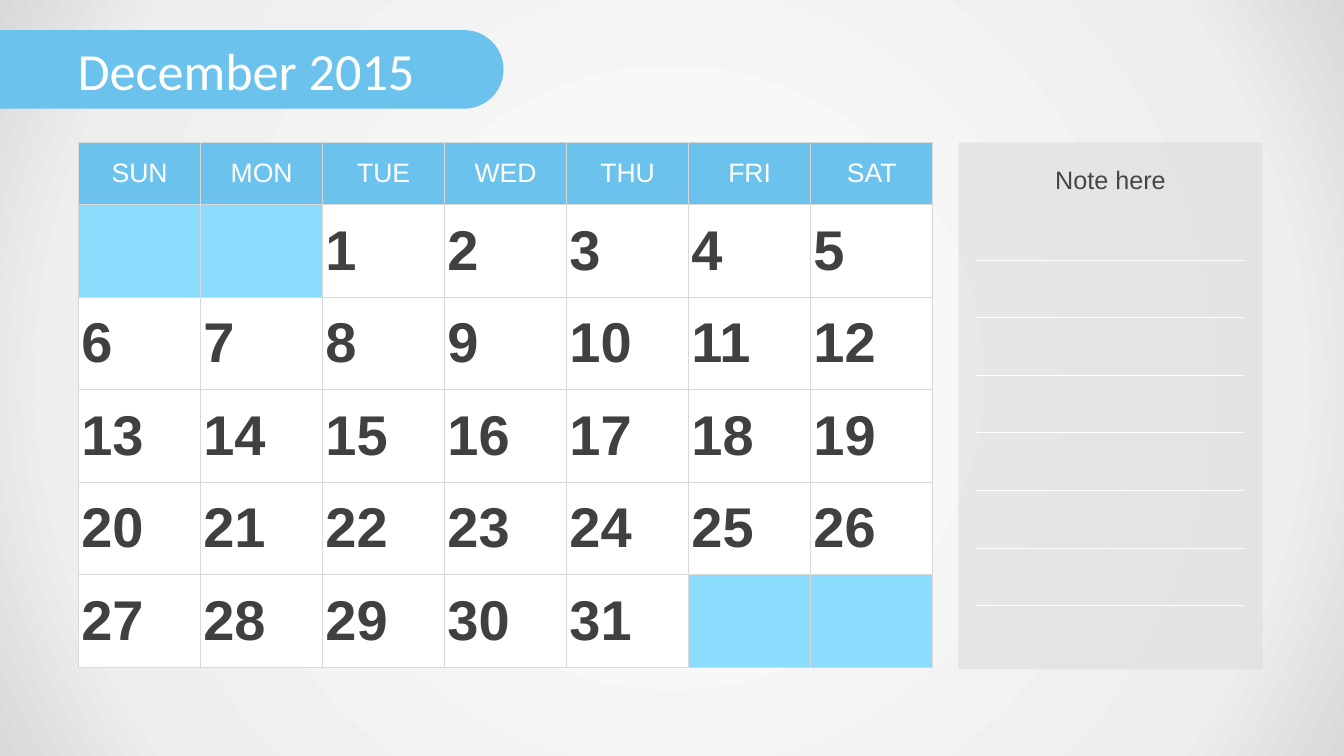
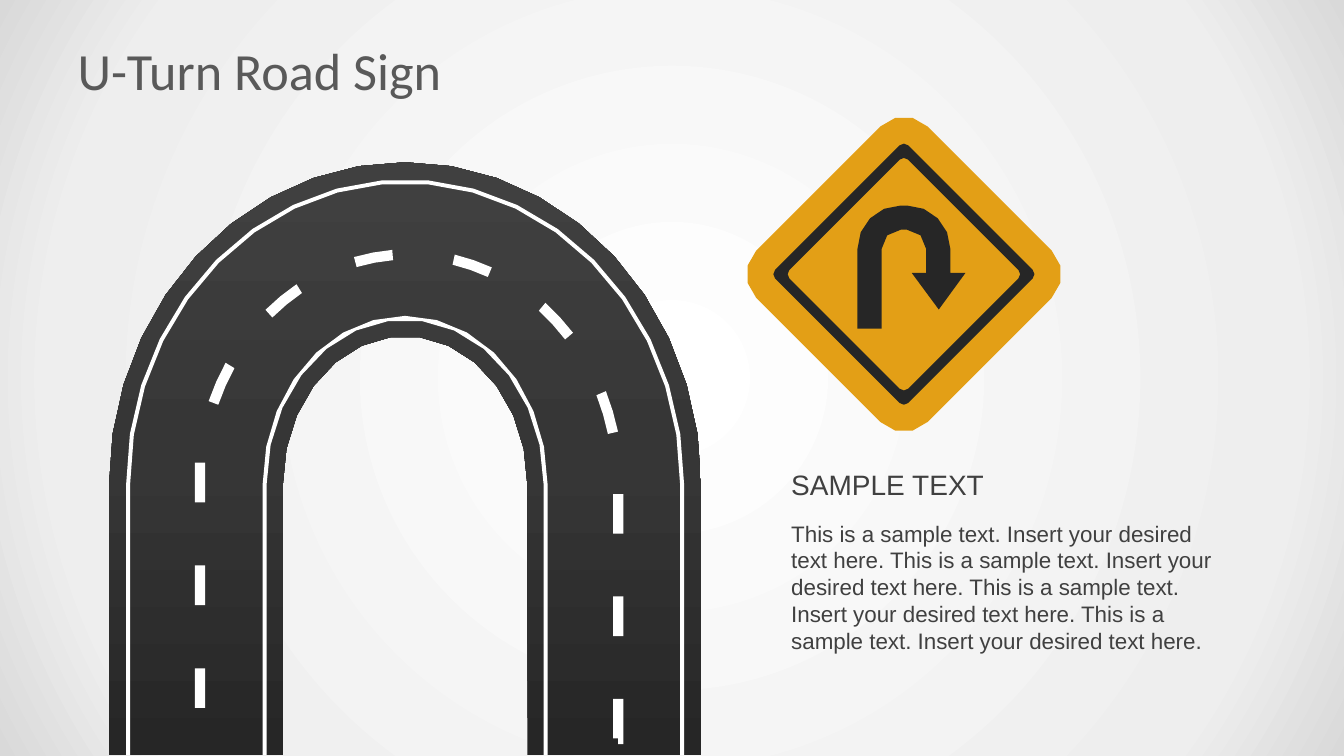
from dataclasses import dataclass
from math import cos, radians, sin, sqrt

from lxml.etree import SubElement
from pptx import Presentation
from pptx.dml.color import RGBColor
from pptx.enum.shapes import MSO_CONNECTOR, MSO_SHAPE
from pptx.enum.text import MSO_ANCHOR, MSO_AUTO_SIZE, PP_ALIGN
from pptx.oxml import parse_xml
from pptx.oxml.ns import nsdecls, qn
from pptx.util import Cm, Pt


@dataclass(frozen=True)
class Theme:
    """Colours, fonts and type sizes shared by the slides."""
    blue: str = "6BC2ED"
    pale_blue: str = "8CDCFE"
    white: str = "FFFFFF"
    rule: str = "D9D9D9"
    text: str = "404040"
    note: str = "464646"
    title: str = "595959"
    black: str = "262626"
    amber: str = "E39F16"
    backdrop: tuple = ((0, "FFFFFF"), (81, "EEEEEE"), (100, "D9D9D9"))
    asphalt: tuple = ((0, "262626"), (50, "363636"), (100, "404040"))
    head_font: str = "Calibri"
    body_font: str = "Arial"
    title_size: float = 37.3
    day_size: int = 40
    heading_size: int = 20
    weekday_size: int = 19
    note_size: int = 18
    body_size: int = 16


T = Theme()
RADIAL = ('<a:path path="circle"><a:fillToRect l="50000" t="50000" '
          'r="50000" b="50000"/></a:path>')
UPWARD = '<a:lin ang="16200000" scaled="0"/>'


def rgb(color):
    """Return a colour object for a hex string."""
    return RGBColor.from_string(color)


def set_gradient(props, stops, direction):
    """Replace the solid fill inside props with a gradient."""
    gs = "".join(f'<a:gs pos="{pos * 1000}"><a:srgbClr val="{c}"/></a:gs>'
                 for pos, c in stops)
    grad = parse_xml(f'<a:gradFill {nsdecls("a")} rotWithShape="1">'
                     f'<a:gsLst>{gs}</a:gsLst>{direction}</a:gradFill>')
    props.replace(props.find(qn("a:solidFill")), grad)


def write(tf, text, size, color, font=T.body_font, bold=False,
          align=PP_ALIGN.LEFT):
    """Write one formatted paragraph into a text frame."""
    p = tf.paragraphs[0]
    p.alignment = align
    r = p.add_run()
    r.text = text
    r.font.size, r.font.bold, r.font.name = Pt(size), bold, font
    r.font.color.rgb = rgb(color)


def add_text(shapes, box, text, size, color, **fmt):
    """Add a wrapping text box."""
    tf = shapes.add_textbox(*map(Cm, box)).text_frame
    tf.word_wrap = True
    write(tf, text, size, color, **fmt)


def paint(shape, color):
    """Give a shape a flat fill without line or shadow."""
    shape.shadow.inherit = False
    shape.fill.solid()
    shape.fill.fore_color.rgb = rgb(color)
    shape.line.fill.background()
    return shape


def add_block(shapes, kind, box, color):
    """Add a flat preset shape."""
    return paint(shapes.add_shape(kind, *map(Cm, box)), color)


def add_outline(shapes, color, *contours):
    """Add one flat shape made of closed contours."""
    first, *others = [[(Cm(x), Cm(y)) for x, y in c] for c in contours]
    fb = shapes.build_freeform(*first[0])
    fb.add_line_segments(first[1:], close=True)
    for pts in others:
        fb.move_to(*pts[0])
        fb.add_line_segments(pts[1:], close=True)
    return paint(fb.convert_to_shape(), color)


def arc(cx, cy, rx, ry, start, end):
    """Return points on an ellipse between two angles in degrees."""
    n = max(2, round(abs(end - start) * sqrt(rx) / 25))
    angles = [radians(start + (end - start) * i / n) for i in range(n + 1)]
    return [(cx + rx * cos(a), cy - ry * sin(a)) for a in angles]


def add_slide(prs, title, color=T.title):
    """Add a slide with its formatted title."""
    s = prs.slides.add_slide(prs.slide_layouts[5])
    sp = s.shapes.title
    sp.left, sp.top, sp.width, sp.height = map(Cm, (1.7, 0.76, 30.48, 1.98))
    tf = sp.text_frame
    tf.auto_size = MSO_AUTO_SIZE.NONE
    tf.vertical_anchor = MSO_ANCHOR.MIDDLE
    write(tf, title, T.title_size, color, font=T.head_font)
    return s


def add_banner(s, x, y, w, h):
    """Add the round-ended band behind the title."""
    box = (x + (w - h) / 2, y + (h - w) / 2, h, w)
    sp = add_block(s.shapes, MSO_SHAPE.ROUND_2_SAME_RECTANGLE, box, T.blue)
    sp.adjustments[0] = 0.5
    sp.rotation = 90
    s.shapes.element.insert(2, sp.element)


def format_cell(cell, fill):
    """Set the borders, fill and anchor of a cell."""
    tc_pr = cell._tc.get_or_add_tcPr()
    for side in ("lnL", "lnR", "lnT", "lnB"):
        tc_pr.append(parse_xml(
            f'<a:{side} {nsdecls("a")} w="9525"><a:solidFill>'
            f'<a:srgbClr val="{T.rule}"/></a:solidFill></a:{side}>'))
    cell.fill.solid()
    cell.fill.fore_color.rgb = rgb(fill)
    cell.vertical_anchor = MSO_ANCHOR.MIDDLE


def add_calendar(s, x, y, w, h, first, days, head_h=1.57):
    """Add a month table whose day 1 falls in column first."""
    names = ("SUN", "MON", "TUE", "WED", "THU", "FRI", "SAT")
    weeks = -(-(first + days) // 7)
    tbl = s.shapes.add_table(weeks + 1, 7, *map(Cm, (x, y, w, h))).table
    tbl.first_row = tbl.horz_banding = False
    for col in tbl.columns:
        col.width = Cm(w / 7)
    for i, row in enumerate(tbl.rows):
        row.height = Cm((h - head_h) / weeks if i else head_h)
    for i, name in enumerate(names):
        cell = tbl.cell(0, i)
        format_cell(cell, T.blue)
        write(cell.text_frame, name, T.weekday_size, T.white,
              align=PP_ALIGN.CENTER)
    for i in range(weeks * 7):
        cell = tbl.cell(i // 7 + 1, i % 7)
        day = i - first + 1
        in_month = 1 <= day <= days
        format_cell(cell, T.white if in_month else T.pale_blue)
        cell.margin_left = cell.margin_right = Cm(0.07)
        cell.margin_top = cell.margin_bottom = Cm(0.03)
        if in_month:
            write(cell.text_frame, str(day), T.day_size, T.text, bold=True)


def add_notes_panel(s, x, y, w, h, lines=7):
    """Add the translucent panel with ruled lines."""
    sp = add_block(s.shapes, MSO_SHAPE.RECTANGLE, (x, y, w, h), T.rule)
    clr = sp.element.spPr.find(qn("a:solidFill"))[0]
    SubElement(clr, qn("a:alpha")).set("val", "50000")
    add_text(s.shapes, (x + (w - 3.33) / 2, y + 0.42, 3.33, 1.02),
             "Note here", T.note_size, T.note, align=PP_ALIGN.CENTER)
    grp = s.shapes.add_group_shape().shapes
    for i in range(lines):
        line_y = y + 2.97 + 1.45 * i
        ln = grp.add_connector(MSO_CONNECTOR.STRAIGHT, Cm(x + 0.44),
                               Cm(line_y), Cm(x + w - 0.46), Cm(line_y))
        ln.line.color.rgb = rgb(T.white)
        ln.line.width = Pt(0.75)
        SubElement(ln.element.spPr, qn("a:effectLst"))


def add_road(s, x, y, w, h):
    """Add the U-shaped road with edge lines and lane dashes."""
    grp = s.shapes.add_group_shape().shapes
    cx, spring, bottom = x + w / 2, y + w / 2 + 0.65, y + h

    def band(outer, inner):
        """Add a U-shaped strip between two radii."""
        pts = [(cx - outer, bottom)]
        pts += arc(cx, spring, outer, outer + 0.65, 180, 0)
        pts += [(cx + outer, bottom), (cx + inner, bottom)]
        pts += arc(cx, spring, inner, inner + 0.65, 0, 180)
        return add_outline(grp, T.white, pts + [(cx - inner, bottom)])

    set_gradient(band(w / 2, 3.08).element.spPr, T.asphalt, UPWARD)
    band(3.59, 3.49)
    band(7.03, 6.93)

    lane_x, rx, ry, half = cx + 0.1, 5.27, 5.79, 0.13
    for i in range(6):
        start = 159.3 - 27.2 * i
        end = start - 10.4
        add_outline(grp, T.white,
                    arc(lane_x, spring, rx + half, ry + half, start, end)
                    + arc(lane_x, spring, rx - half, ry - half, end, start))
    left, right = lane_x - rx - half, lane_x + rx - half
    tops = [(left, spring - 0.54 + 2.59 * i) for i in range(3)]
    tops += [(right, spring + 0.25 + 2.58 * i) for i in range(2)]
    for dash_x, dash_y in tops:
        add_block(grp, MSO_SHAPE.RECTANGLE, (dash_x, dash_y, 2 * half, 1),
                  T.white)
    top = spring + 5.41
    notched = [(0, 0), (2 * half, 0), (2 * half, 1.14), (half, 1.14),
               (half, 1), (0, 1)]
    add_outline(grp, T.white, [(right + dx, top + dy) for dx, dy in notched])


def add_sign(s, x, y, size):
    """Add the diamond sign with its U-turn arrow."""
    grp = s.shapes.add_group_shape().shapes
    cx, cy = x + size / 2, y + size / 2

    def diamond(reach, r):
        """Return a round-cornered diamond around the sign centre."""
        d = reach - r
        return [pt for a in (0, 90, 180, 270)
                for pt in arc(cx + d * cos(radians(a)),
                              cy - d * sin(radians(a)), r, r, a - 45, a + 45)]

    add_outline(grp, T.amber, diamond(size / 2, 0.84))
    add_outline(grp, T.black, diamond(3.29, 0.15), diamond(2.93, 0.15)[::-1])
    outer, inner = ([*arc(-0.08, -0.64, r, r, 180, 90),
                     *arc(0.08, -0.64, r, r, 90, 0)] for r in (1.09, 0.48))
    head = [(1.17, -0.03), (1.55, -0.03), (0.88, 0.89), (0.2, -0.03),
            (0.56, -0.03)]
    arrow = outer + head + inner[::-1] + [(-0.56, 1.37), (-1.17, 1.37)]
    add_outline(grp, T.black, [(cx + dx, cy + dy) for dx, dy in arrow])


def add_sample_text(s, x, y, w, h):
    """Add the paragraph and the heading above it."""
    grp = s.shapes.add_group_shape().shapes
    body = " ".join(["This is a sample text. Insert your desired text here."] * 4)
    add_text(grp, (x, y + 1.31, w, h - 1.31), body, T.body_size, T.text)
    add_text(grp, (x, y, w, 1.12), "SAMPLE TEXT", T.heading_size, T.text)


def calendar_slide(prs):
    """Build the month calendar slide."""
    s = add_slide(prs, "December 2015", T.white)
    add_banner(s, 0, 0.76, 12.69, 1.98)
    add_calendar(s, 1.98, 3.58, 21.53, 13.24, first=2, days=31)
    add_notes_panel(s, 24.15, 3.59, 7.67, 13.28)


def road_slide(prs):
    """Build the U-turn road sign slide."""
    s = add_slide(prs, "U-Turn Road Sign")
    add_sample_text(s, 19.69, 11.66, 11.63, 5)
    add_road(s, 2.75, 4.09, 14.92, 14.94)
    add_sign(s, 18.81, 2.94, 7.94)


def main():
    """Build and save the presentation."""
    prs = Presentation()
    prs.slide_width, prs.slide_height = Cm(33.87), Cm(19.05)
    master = prs.slide_master
    master.background.fill.solid()
    set_gradient(master.element.find(".//" + qn("p:bgPr")), T.backdrop, RADIAL)
    calendar_slide(prs)
    road_slide(prs)
    prs.save("out.pptx")


if __name__ == "__main__":
    main()
